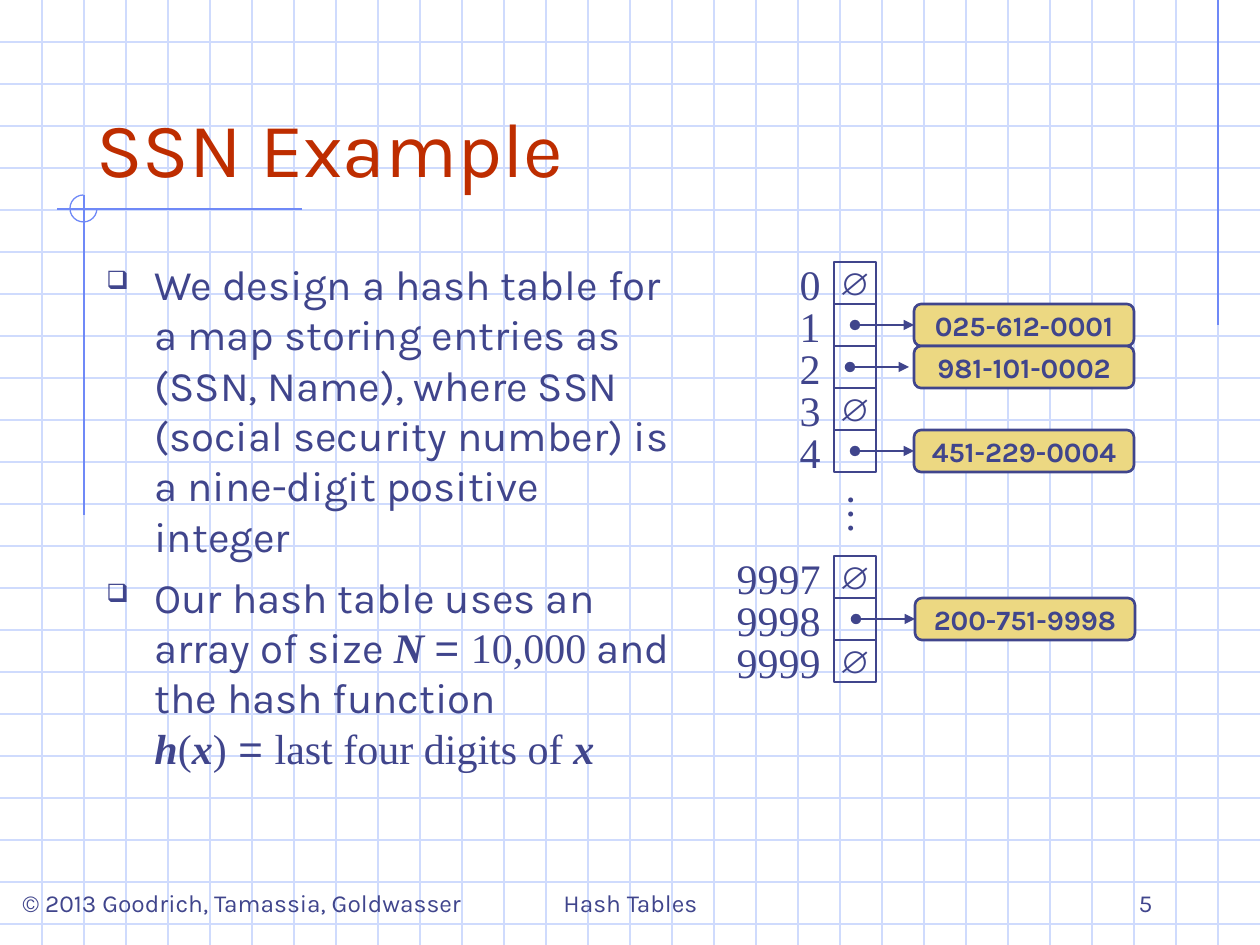
from dataclasses import dataclass

from lxml import etree
from pptx import Presentation
from pptx import util as u
from pptx.dml.color import RGBColor
from pptx.enum import shapes, text
from pptx.oxml import ns


# Theme: colours, fonts and type sizes
@dataclass(frozen=True)
class Theme:
    grid: str = "CFDBFD"
    rule: str = "6F89F7"
    ink: str = "40458C"
    head: str = "BE2D00"
    fill: str = "ECD882"
    sans: str = "Karla"
    serif: str = "Times New Roman"
    sign: str = "Arial"
    title: int = 44
    body: int = 24
    null: int = 18
    entry: int = 16
    foot: int = 14
    thin: float = 0.75
    thick: float = 1.5


@dataclass(frozen=True)
class Box:
    x: int
    y: int
    w: int
    h: int


@dataclass(frozen=True)
class Style:
    font: str
    size: int
    color: str
    bold: bool = False


@dataclass(frozen=True)
class Row:
    slot: int
    label: str
    entry: str = ""
    left: int = 914   # left edge of the entry box
    start: int = 855  # start of the arrow


@dataclass(frozen=True)
class Span:
    words: str
    font: str
    strong: bool = False  # bold italic
    fresh: bool = False   # starts a new line


T = Theme()
WIDE, HIGH, STEP = 1260, 945, 42
LEFT, TOP, EDGE = 834, 262, 833
MID, RIGHT = text.PP_ALIGN.CENTER, text.PP_ALIGN.RIGHT
LOW = text.MSO_ANCHOR.BOTTOM
NUMBER = Style(T.serif, T.body, T.ink)

ROWS = [
    Row(0, "0"),
    Row(1, "1", "025-612-0001"),
    Row(2, "2", "981-101-0002", start=850),
    Row(3, "3"),
    Row(4, "4", "451-229-0004"),
    Row(7, "9997"),
    Row(8, "9998", "200-751-9998", left=915, start=856),
    Row(9, "9999"),
]

POINTS = [
    [Span("We design a hash table for a map storing entries as (SSN, Name), "
          "where SSN (social security number) is a nine-digit positive integer", T.sans)],
    [Span("Our hash table uses an array of size ", T.sans),
     Span("N ", T.serif, True),
     Span("= ", T.sign),
     Span("10,000", T.serif),
     Span(" and the hash function", T.sans),
     Span("h", T.serif, True, True),
     Span("(", T.serif),
     Span("x", T.serif, True),
     Span(")", T.serif),
     Span(" = ", T.sign),
     Span("last four digits of ", T.serif),
     Span("x", T.serif, True)],
]


def px(n: float) -> u.Emu:
    return u.Emu(round(n * 914400 / 126))


def place(box: Box) -> list[u.Emu]:
    return [px(n) for n in (box.x, box.y, box.w, box.h)]


def rgb(code: str) -> RGBColor:
    return RGBColor.from_string(code)


def dress(par, style: Style) -> None:
    par.font.name = style.font
    par.font.size = u.Pt(style.size)
    par.font.bold = style.bold
    par.font.color.rgb = rgb(style.color)


def write(shape, words: str, style: Style, align=None, anchor=None, wrap: bool = True) -> None:
    frame = shape.text_frame
    frame.word_wrap = wrap
    frame.vertical_anchor = anchor
    par = frame.paragraphs[0]
    par.text = words
    par.alignment = align
    dress(par, style)


def label(slide, box: Box, words: str, style: Style, **opts):
    shape = slide.shapes.add_textbox(*place(box))
    write(shape, words, style, **opts)
    return shape


def block(slide, kind, box: Box, color: str, width: float, fill: str = ""):
    shape = slide.shapes.add_shape(kind, *place(box))
    shape.shadow.inherit = False
    shape.line.color.rgb = rgb(color)
    shape.line.width = u.Pt(width)
    if fill:
        shape.fill.solid()
        shape.fill.fore_color.rgb = rgb(fill)
    else:
        shape.fill.background()
    return shape


def line(slide, x1: int, y1: int, x2: int, y2: int, color: str,
         width: float = T.thin, arrow: bool = False) -> None:
    link = slide.shapes.add_connector(
        shapes.MSO_CONNECTOR.STRAIGHT, px(x1), px(y1), px(x2), px(y2))
    link.line.color.rgb = rgb(color)
    link.line.width = u.Pt(width)
    if arrow:
        stroke = link.line._get_or_add_ln()
        for tag, kind in (("a:headEnd", "oval"), ("a:tailEnd", "triangle")):
            etree.SubElement(stroke, ns.qn(tag), type=kind)
    etree.SubElement(link._element.spPr, ns.qn("a:effectLst"))


def bullet(par) -> None:
    props = par._p.get_or_add_pPr()
    props.set("marL", str(px(48)))
    props.set("indent", str(px(-48)))
    tint = etree.SubElement(props, ns.qn("a:buClr"))
    etree.SubElement(tint, ns.qn("a:srgbClr"), val=T.ink)
    etree.SubElement(props, ns.qn("a:buSzPct"), val="60000")
    etree.SubElement(props, ns.qn("a:buChar"), char="❑")


def backdrop(slide) -> None:
    for y in range(STEP, HIGH, STEP):
        line(slide, 0, y, WIDE, y, T.grid)
    for x in range(STEP, WIDE, STEP):
        line(slide, x, 0, x, HIGH, T.grid)
    # Accent rules and the three-quarter ring
    line(slide, 1218, 0, 1218, 325, T.rule)
    line(slide, 302, 209, 57, 209, T.rule)
    line(slide, 84, 195, 84, 515, T.rule)
    ring = block(slide, shapes.MSO_SHAPE.ARC, Box(70, 195, 27, 27), T.rule, T.thin)
    ring.adjustments[0] = 0
    ring.adjustments[1] = 162  # 270 degrees


def body(slide) -> None:
    frame = slide.shapes.add_textbox(*place(Box(94, 252, 599, 609))).text_frame
    frame.word_wrap = True
    for i, spans in enumerate(POINTS):
        par = frame.add_paragraph() if i else frame.paragraphs[0]
        bullet(par)
        par.space_before = u.Pt(6 if i else 0)
        dress(par, Style(T.sans, T.body, T.ink))
        for span in spans:
            if span.fresh:
                par.add_line_break()
            run = par.add_run()
            run.text = span.words
            if span.font != T.sans:
                run.font.name = span.font
            if span.strong:
                run.font.bold = run.font.italic = True


def draw(slide, row: Row) -> None:
    y = TOP + row.slot * STEP
    cell = block(slide, shapes.MSO_SHAPE.RECTANGLE, Box(LEFT, y, STEP, STEP), T.ink, T.thick)
    wide = 28 + 22 * len(row.label)  # side insets plus digits
    label(slide, Box(EDGE - wide, y - 10, wide, 63), row.label, NUMBER, align=RIGHT, wrap=False)
    centre = dict(align=MID, anchor=text.MSO_ANCHOR.MIDDLE, wrap=False)
    if not row.entry:
        write(cell, "∅", Style(T.sign, T.null, T.ink), **centre)
        return
    card = block(slide, shapes.MSO_SHAPE.ROUNDED_RECTANGLE,
                 Box(row.left, y, 220, STEP), T.ink, T.thick, T.fill)
    write(card, row.entry, Style(T.sans, T.entry, T.ink, True), **centre)
    mid = y + STEP // 2
    line(slide, row.start, mid, row.start + 59, mid, T.ink, T.thick, arrow=True)


def main() -> None:
    deck = Presentation()
    deck.slide_width, deck.slide_height = px(WIDE), px(HIGH)
    slide = deck.slides.add_slide(deck.slide_layouts[6])
    backdrop(slide)

    # Title and bullets
    label(slide, Box(84, 42, 1102, 157), "SSN Example",
          Style(T.sans, T.title, T.head), anchor=LOW)
    body(slide)

    # Hash table
    for row in ROWS:
        draw(slide, row)
    dots = label(slide, Box(832, 483, 67, 63), "…", NUMBER, align=MID, wrap=False)
    dots.rotation = 90

    # Footer
    foot = Style(T.sans, T.foot, T.ink)
    for x, wide, words, align in (
            (10, 494, "© 2013 Goodrich, Tamassia, Goldwasser", None),
            (431, 399, "Hash Tables", MID),
            (903, 262, "5", RIGHT)):
        label(slide, Box(x, 861, wide, 63), words, foot, align=align, anchor=LOW)

    deck.save("out.pptx")


if __name__ == "__main__":
    main()
